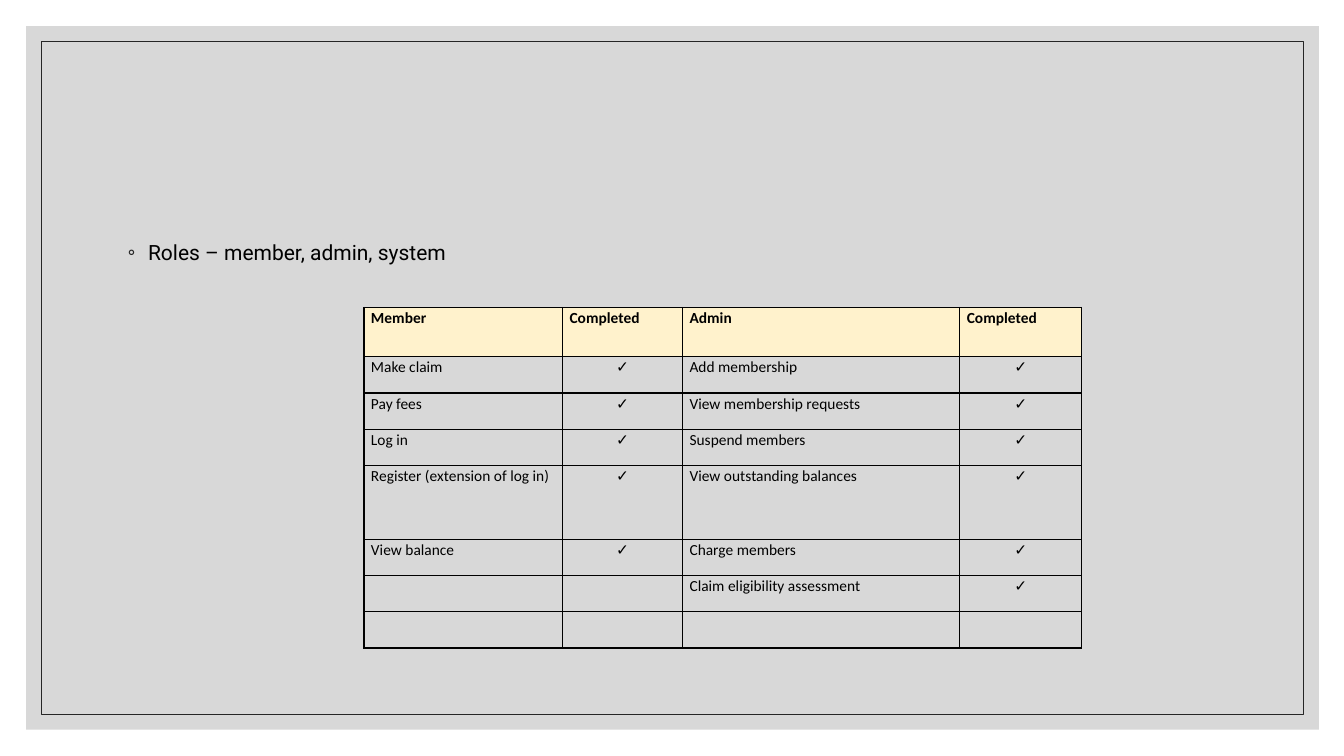
from lxml.etree import SubElement
from pptx import Presentation
from pptx.dml.color import RGBColor
from pptx.enum.shapes import MSO_SHAPE
from pptx.enum.text import PP_ALIGN
from pptx.oxml.ns import qn
from pptx.util import Inches, Pt

BLACK = RGBColor(0x00, 0x00, 0x00)
CHARCOAL = RGBColor(0x26, 0x26, 0x26)
GREY = RGBColor(0xBF, 0xBF, 0xBF)
CREAM = RGBColor(0xFF, 0xF2, 0xCC)

CHECK = "\u2713"
COLUMN_WIDTHS = [1.97, 1.19, 2.75, 1.21]
ROW_HEIGHTS = [0.49, 0.36, 0.36, 0.36, 0.73, 0.36, 0.36, 0.36]
ROLE_ROWS = [
    ["Member", "Completed", "Admin", "Completed"],
    ["Make claim", CHECK, "Add membership", CHECK],
    ["Pay fees", CHECK, "View membership requests", CHECK],
    ["Log in", CHECK, "Suspend members", CHECK],
    ["Register (extension of log in)", CHECK, "View outstanding balances ", CHECK],
    ["View balance", CHECK, "Charge members", CHECK],
    ["", "", "Claim eligibility assessment ", CHECK],
    ["", "", "", ""],
]


def add_color(parent, color):
    fill = SubElement(parent, qn("a:solidFill"))
    return SubElement(fill, qn("a:srgbClr"), val=str(color))


def add_rectangle(slide, left, top, width, height):
    shape = slide.shapes.add_shape(
        MSO_SHAPE.RECTANGLE, Inches(left), Inches(top), Inches(width), Inches(height)
    )
    shape.shadow.inherit = False
    return shape


def add_panel(slide):
    panel = add_rectangle(slide, 0.26, 0.26, 12.82, 6.98)
    panel.fill.solid()
    panel.fill.fore_color.rgb = GREY
    color = panel.fill._xPr.find(qn("a:solidFill")).find(qn("a:srgbClr"))
    SubElement(color, qn("a:alpha"), val="60000")
    panel.line.fill.background()


def add_frame(slide):
    frame = add_rectangle(slide, 0.41, 0.41, 12.52, 6.68)
    frame.fill.background()
    frame.line.color.rgb = CHARCOAL
    frame.line.width = Pt(0.5)


def add_run(paragraph, text, font, size, bold=False):
    run = paragraph.add_run()
    run.text = text
    run.font.name = font
    run.font.size = Pt(size)
    run.font.bold = bold
    run.font.color.rgb = BLACK


def set_bullet(paragraph):
    properties = paragraph._p.get_or_add_pPr()
    properties.set("marL", str(Inches(0.2)))
    properties.set("indent", str(-Inches(0.2)))
    color = SubElement(properties, qn("a:buClr"))
    SubElement(color, qn("a:srgbClr"), val=str(CHARCOAL))
    SubElement(properties, qn("a:buFont"), typeface="Calibri")
    SubElement(properties, qn("a:buChar"), char="\u25e6")


def add_roles_line(slide):
    box = slide.shapes.add_textbox(Inches(1.17), Inches(2.3), Inches(11), Inches(4.21))
    box.text_frame.word_wrap = True
    paragraph = box.text_frame.paragraphs[0]
    paragraph.line_spacing = 1.1
    paragraph.space_before = Pt(9)
    set_bullet(paragraph)
    add_run(paragraph, "Roles \u2013 member, admin, system", "Roboto", 15)


def set_borders(cell):
    properties = cell._tc.get_or_add_tcPr()
    for side in ("lnL", "lnR", "lnT", "lnB"):
        border = SubElement(properties, qn(f"a:{side}"), w=str(Pt(1)))
        add_color(border, BLACK)


def fill_cell(cell, text, header):
    cell.margin_left = cell.margin_right = Inches(0.07)
    cell.margin_top = cell.margin_bottom = 0
    set_borders(cell)
    if header:
        cell.fill.solid()
        cell.fill.fore_color.rgb = CREAM
    else:
        cell.fill.background()
    if text:
        paragraph = cell.text_frame.paragraphs[0]
        paragraph.line_spacing = 1.07
        paragraph.alignment = PP_ALIGN.CENTER if text == CHECK else PP_ALIGN.LEFT
        add_run(paragraph, text, "Calibri", 11, header)


def add_roles_table(slide):
    table = slide.shapes.add_table(
        len(ROW_HEIGHTS), len(COLUMN_WIDTHS), Inches(3.61), Inches(3.05),
        Inches(sum(COLUMN_WIDTHS)), Inches(sum(ROW_HEIGHTS))
    ).table
    table.first_row = False
    table.horz_banding = False
    for column, width in zip(table.columns, COLUMN_WIDTHS):
        column.width = Inches(width)
    for row_index, (row, height) in enumerate(zip(table.rows, ROW_HEIGHTS)):
        row.height = Inches(height)
        for cell, text in zip(row.cells, ROLE_ROWS[row_index]):
            fill_cell(cell, text, row_index == 0)


def main():
    presentation = Presentation()
    presentation.slide_width = Inches(13.33)
    presentation.slide_height = Inches(7.5)
    slide = presentation.slides.add_slide(presentation.slide_layouts[6])
    add_panel(slide)
    add_frame(slide)
    add_roles_line(slide)
    add_roles_table(slide)
    presentation.save("out.pptx")


main()
